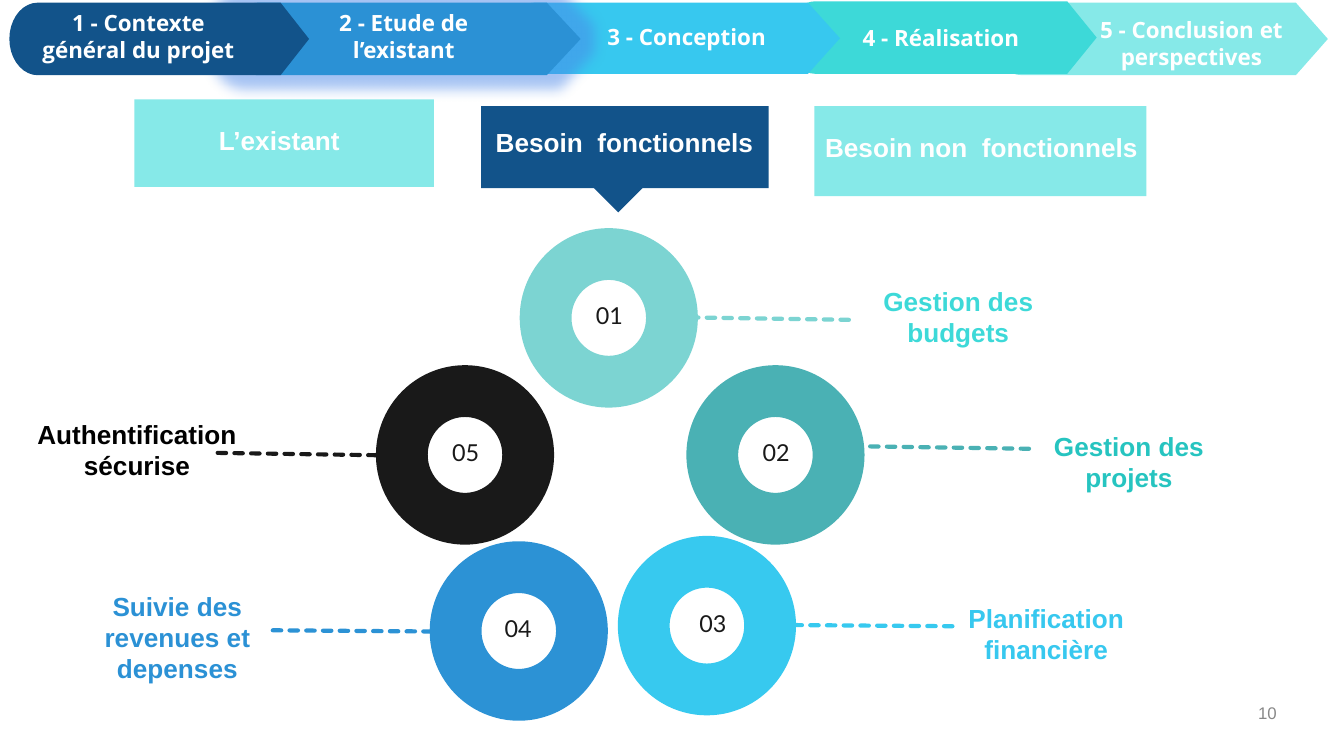
import math

from lxml import etree
from pptx import Presentation
from pptx import util as u
from pptx.dml import color
from pptx.enum import dml, shapes, text
from pptx.oxml import ns

WHITE = "FFFFFF"
INK = "191919"
NAVY = "12538A"
AQUA = "86E9E8"
LEFT, CENTER, RIGHT = text.PP_ALIGN.LEFT, text.PP_ALIGN.CENTER, text.PP_ALIGN.RIGHT
RING_SIZE = (0.94, 0.95)

# left, top, width, height, colour
STEP_ARROWS = [
    (7.37, 0.02, 2.51, 0.54, AQUA),
    (5.85, 0.01, 2.31, 0.54, "3DD9D8"),
    (3.74, 0.02, 2.51, 0.53, "37C8EF"),
    (1.67, 0.02, 2.65, 0.54, "2B91D5"),
    (0.07, 0.02, 2.23, 0.54, NAVY),
]
CURRENT_STEP = 3

STEP_TITLES = [
    ("1 - Contexte général du projet", (0.12, 0.02, 1.82, 0.5), CENTER),
    ("2 - Etude de l’existant", (2.12, 0.02, 1.77, 0.5), CENTER),
    ("3 - Conception", (4.36, 0.12, 1.5, 0.3), CENTER),
    ("4 - Réalisation", (6.32, 0.13, 1.5, 0.3), LEFT),
    ("5 - Conclusion et perspectives", (8.07, 0.07, 1.59, 0.5), CENTER),
]

TABS = [
    ("L’existant", (1, 0.74, 2.23, 0.65), (1.53, 0.88, 2.22, 0.34), AQUA),
    ("Besoin  fonctionnels", (3.58, 0.79, 2.14, 0.61), (3.59, 0.89, 2.22, 0.34), NAVY),
    ("Besoin non  fonctionnels", (6.06, 0.79, 2.47, 0.67), (6.04, 0.93, 2.59, 0.34), AQUA),
]

# number, ring corner, number left, line, label, label box, ring colour, label colour
NEEDS = [
    ("01", (4.06, 1.89), 4.15, (5.01, 2.36, 6.32, 2.38),
     "Gestion des budgets", (6.27, 2.12, 1.72, 0.47), "7CD4D2", "3DD9D8"),
    ("02", (5.3, 2.91), 5.39, (6.35, 3.32, 7.7, 3.34),
     "Gestion des projets", (7.56, 3.2, 1.68, 0.47), "4AB1B4", "26C4C0"),
    ("05", (2.99, 2.91), 3.08, (1.62, 3.37, 2.99, 3.39),
     "Authentification sécurise", (0.07, 3.11, 1.9, 0.47), INK, "000000"),
    ("04", (3.39, 4.22), 3.47, (2.03, 4.69, 3.38, 4.7),
     "Suivie des revenues et depenses", (0.4, 4.39, 1.84, 0.71), "2C92D5", "2B91D5"),
    ("03", (4.79, 4.18), 4.92, (5.78, 4.65, 7.13, 4.66),
     "Planification financière", (7.03, 4.48, 1.51, 0.47), "37C9EF", "37C8EF"),
]


def rgb(value):
    return color.RGBColor.from_string(value)


def inches(values):
    return [u.Inches(value) for value in values]


def paint(shape, fill, line=None, width=0):
    shape.shadow.inherit = False
    shape.fill.solid()
    shape.fill.fore_color.rgb = rgb(fill)
    if line:
        shape.line.color.rgb = rgb(line)
        shape.line.width = u.Pt(width)
    else:
        shape.line.fill.background()


def add_text(slide, words, box, size, font, ink, bold=True, align=CENTER,
             margins=(0, 0), anchor=text.MSO_ANCHOR.TOP, spacing=None):
    frame = slide.shapes.add_textbox(*inches(box)).text_frame
    frame.word_wrap = True
    frame.vertical_anchor = anchor
    frame.margin_left = frame.margin_right = u.Inches(margins[0])
    frame.margin_top = frame.margin_bottom = u.Inches(margins[1])
    paragraph = frame.paragraphs[0]
    paragraph.alignment = align
    if spacing:
        paragraph.line_spacing = u.Pt(spacing)
    run = paragraph.add_run()
    run.text = words
    run.font.size = u.Pt(size)
    run.font.name = font
    run.font.bold = bold
    run.font.color.rgb = rgb(ink)


def add_glow(shape, tint, radius, opacity):
    effects = shape.element.spPr.find(ns.qn("a:effectLst"))
    glow = etree.SubElement(effects, ns.qn("a:glow"), rad=str(u.Inches(radius)))
    shade = etree.SubElement(glow, ns.qn("a:srgbClr"), val=tint)
    etree.SubElement(shade, ns.qn("a:alpha"), val=str(opacity * 1000))


def add_step_arrow(slide, left, top, width, height, fill):
    corner = 0.095 * width
    middle = top + height / 2
    right = left + width
    points = [(right - corner, top), (right, middle), (right - corner, top + height)]
    for degrees in range(90, 271, 10):
        angle = math.radians(degrees)
        points.append((left + corner + corner * math.cos(angle),
                       middle + height / 2 * math.sin(angle)))
    points = [inches(point) for point in points]
    builder = slide.shapes.build_freeform(*points[0])
    builder.add_line_segments(points[1:], close=True)
    shape = builder.convert_to_shape()
    paint(shape, fill)
    return shape


def add_dashed_line(slide, ends, tint):
    connector = slide.shapes.add_connector(shapes.MSO_CONNECTOR.STRAIGHT, *inches(ends))
    connector.line.color.rgb = rgb(tint)
    connector.line.width = u.Pt(2.25)
    connector.line.dash_style = dml.MSO_LINE.SQUARE_DOT
    properties = connector.element.spPr
    properties.find(ns.qn("a:ln")).set("cap", "rnd")
    etree.SubElement(properties, ns.qn("a:effectLst"))


def add_need(slide, number, corner, number_left, ends, label, label_box, tint, ink):
    add_dashed_line(slide, ends, tint)
    ring = slide.shapes.add_shape(
        shapes.MSO_SHAPE.OVAL, *inches((*corner, *RING_SIZE)))
    paint(ring, WHITE, tint, 27.75)
    add_text(slide, number, (number_left, corner[1], 0.77, 0.86), 12.5, "Lato", INK,
             bold=False, margins=(0.03, 0.03), anchor=text.MSO_ANCHOR.MIDDLE, spacing=18.8)
    add_text(slide, label, label_box, 14, "Arial", ink)


def add_tab(slide, title, box, title_box, fill):
    paint(slide.shapes.add_shape(shapes.MSO_SHAPE.RECTANGLE, *inches(box)), fill)
    add_text(slide, title, title_box, 14, "Arial", WHITE, align=LEFT, margins=(0.1, 0.05))


def main():
    presentation = Presentation()
    presentation.slide_width = u.Inches(10)
    presentation.slide_height = u.Inches(10 * 9 / 16)
    slide = presentation.slides.add_slide(presentation.slide_layouts[6])

    for need in NEEDS:
        add_need(slide, *need)
    for index, arrow in enumerate(STEP_ARROWS):
        shape = add_step_arrow(slide, *arrow)
        if index == CURRENT_STEP:
            add_glow(shape, "4A86E8", 0.2, 50)
    for title, box, align in STEP_TITLES:
        add_text(slide, title, box, 12, "Open Sans", WHITE, align=align, margins=(0.1, 0.05))
    for tab in TABS:
        add_tab(slide, *tab)
    pointer = slide.shapes.add_shape(
        shapes.MSO_SHAPE.FLOWCHART_MERGE, *inches((4.41, 1.39, 0.38, 0.19)))
    paint(pointer, NAVY)
    add_text(slide, "10", (7.2, 5.23, 2.3, 0.15), 9, "Arial", "888888", bold=False, align=RIGHT)

    presentation.save("out.pptx")


if __name__ == "__main__":
    main()
